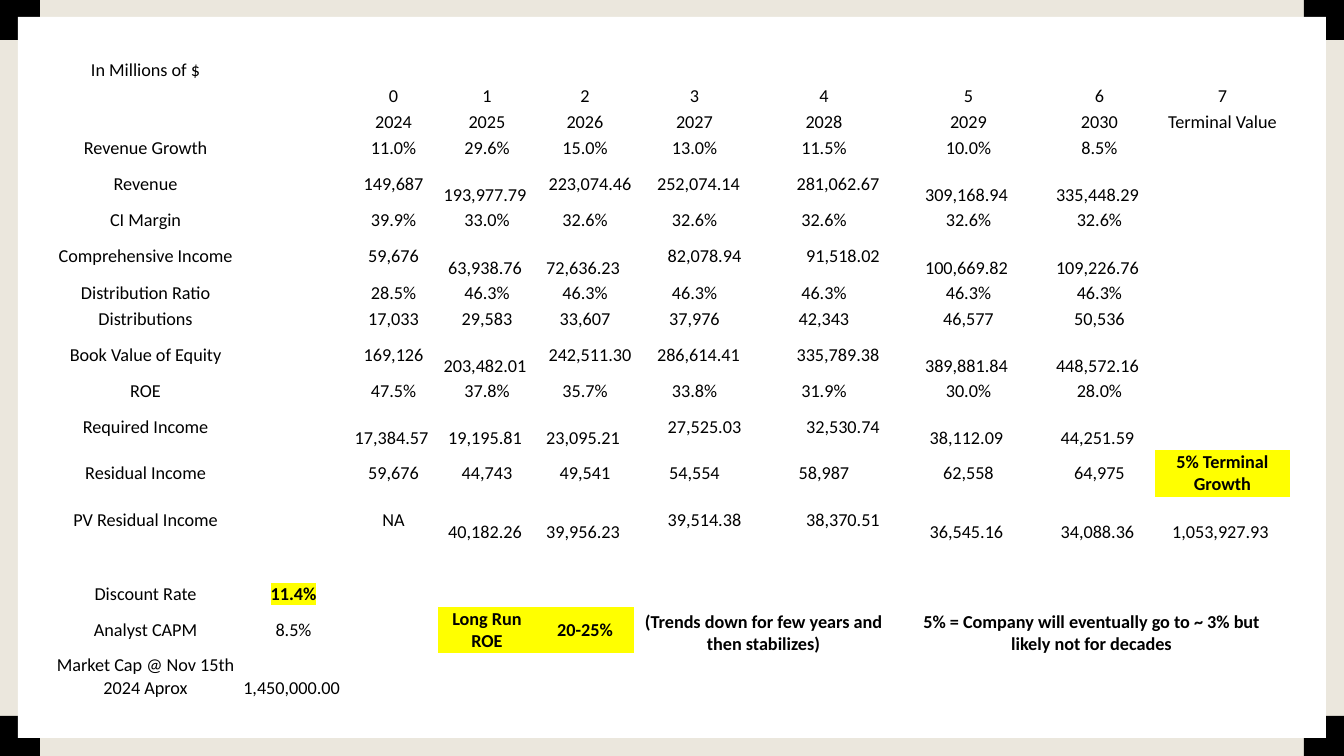
from dataclasses import dataclass

from lxml import etree
from pptx import Presentation
from pptx.dml.color import RGBColor
from pptx.enum.shapes import MSO_SHAPE
from pptx.enum.text import MSO_ANCHOR, PP_ALIGN
from pptx.oxml.ns import qn
from pptx.util import Pt

RECT = MSO_SHAPE.RECTANGLE
TOP, MIDDLE, BOTTOM = MSO_ANCHOR.TOP, MSO_ANCHOR.MIDDLE, MSO_ANCHOR.BOTTOM
CENTER = PP_ALIGN.CENTER
NO_STYLE = "{2D5ABB26-0587-4C30-8999-92F81FD0307C}"
EMU_PER_PX = 914400 / 100.8
SLIDE_W, SLIDE_H = 1344, 756


@dataclass(frozen=True)
class Theme:
    """Colours and type of the slide."""
    paper: str = "EBE7DD"
    corner: str = "000000"
    panel: str = "FFFFFF"
    text: str = "000000"
    mark: str = "FFFF00"
    font: str = "Calibri"
    size: int = 13


THEME = Theme()
COL_WIDTHS = [185, 111, 89, 98, 98, 121, 138, 151, 111, 135]
FORECAST = [
    (26, ["In Millions of $"]),
    (26, ["", "", "0", "1", "2", "3", "4", "5", "6", "7"]),
    (26, ["", "", "2024", "2025", "2026", "2027", "2028", "2029", "2030", "Terminal Value"]),
    (26, ["Revenue Growth", "", "11.0%", "29.6%", "15.0%", "13.0%", "11.5%", "10.0%", "8.5%"]),
    (46, ["Revenue", "", "149,687", "193,977.79", "223,074.46", "252,074.14", "281,062.67",
          "309,168.94", "335,448.29"]),
    (26, ["CI Margin", "", "39.9%", "33.0%"] + ["32.6%"] * 5),
    (47, ["Comprehensive Income", "", "59,676", "63,938.76", "72,636.23", "82,078.94", "91,518.02",
          "100,669.82", "109,226.76"]),
    (26, ["Distribution Ratio", "", "28.5%"] + ["46.3%"] * 6),
    (26, ["Distributions", "", "17,033", "29,583", "33,607", "37,976", "42,343", "46,577", "50,536"]),
    (46, ["Book Value of Equity", "", "169,126", "203,482.01", "242,511.30", "286,614.41",
          "335,789.38", "389,881.84", "448,572.16"]),
    (26, ["ROE", "", "47.5%", "37.8%", "35.7%", "33.8%", "31.9%", "30.0%", "28.0%"]),
    (46, ["Required Income", "", "17,384.57", "19,195.81", "23,095.21", "27,525.03", "32,530.74",
          "38,112.09", "44,251.59"]),
    (47, ["Residual Income", "", "59,676", "44,743", "49,541", "54,554", "58,987", "62,558",
          "64,975", "5% Terminal Growth"]),
    (47, ["PV Residual Income", "", "NA", "40,182.26", "39,956.23", "39,514.38", "38,370.51",
          "36,545.16", "34,088.36", "1,053,927.93"]),
    (37, []),
    (26, ["Discount Rate", "11.4%"]),
    (46, ["Analyst CAPM", "8.5%", "", "Long Run ROE", "20-25%",
          "(Trends down for few years and then stabilizes)", "",
          "5% = Company will eventually go to ~ 3% but likely not for decades"]),
    (47, ["Market Cap @ Nov 15th 2024 Aprox", "1,450,000.00"]),
]
FILLED = {(12, 9), (16, 3), (16, 4)}
HIGHLIGHTED = {(15, 1)}
NOTES = {(16, 5): (17, 6), (16, 7): (17, 9)}
BOLD = FILLED | HIGHLIGHTED | set(NOTES)
SHIFTS = {(4, 10): 5, (5, 10): 4, (5, 9): 10, (6, 10): 14, (6, 9): 19}


def px(n):
    """Turn pixels into EMU."""
    return round(n * EMU_PER_PX)


def rgb(colour):
    """Turn a hex string into a colour."""
    return RGBColor.from_string(colour)


def add_rect(slide, box, colour):
    """Draw a plain filled rectangle."""
    sp = slide.shapes.add_shape(RECT, *map(px, box))
    sp.shadow.inherit = False
    sp.fill.solid()
    sp.fill.fore_color.rgb = rgb(colour)
    sp.line.fill.background()


def write(tf, text, bold=False, highlight=None):
    """Write one centred paragraph in the theme's type."""
    p = tf.paragraphs[0]
    p.alignment = CENTER
    if not text:
        etree.SubElement(p._p, qn("a:endParaRPr"), sz=str(THEME.size * 100))
        return
    r = p.add_run()
    r.text = text
    r.font.size = Pt(THEME.size)
    r.font.bold = bold
    r.font.color.rgb = rgb(THEME.text)
    r.font.name = THEME.font
    if highlight:
        mark = etree.Element(qn("a:highlight"))
        etree.SubElement(mark, qn("a:srgbClr"), val=highlight)
        r._r.rPr.find(qn("a:latin")).addprevious(mark)


def place_text(cell, col, text, is_note):
    """Set a cell's anchor and margins, dropping or shifting decimal figures."""
    left = right = top = bottom = 1
    anchor = MIDDLE
    if is_note:
        left, right, top, bottom = 9, 9, 4, 4
        anchor = TOP
    elif text[-3:-2] == "." and text[-1].isdigit():
        shift = SHIFTS.get((col, len(text)), -2)
        left += max(0, 2 * shift)
        right += max(0, -2 * shift)
        anchor = BOTTOM if shift < 0 else MIDDLE
    cell.vertical_anchor = anchor
    cell.margin_left, cell.margin_right = px(left), px(right)
    cell.margin_top, cell.margin_bottom = px(top), px(bottom)


def add_frame(slide, box):
    """Draw the four corner squares and the white panel."""
    x, y, w, h = box
    side, inset = 40, 18
    for cx in (x, x + w - side):
        for cy in (y, y + h - side):
            add_rect(slide, (cx, cy, side, side), THEME.corner)
    add_rect(slide, (x + inset, y + inset - 1, w - 2 * inset, h - 2 * inset + 1), THEME.panel)


def add_forecast(slide, box):
    """Build the valuation table in its box."""
    frame = slide.shapes.add_table(len(FORECAST), len(COL_WIDTHS), *map(px, box))
    table = frame.table
    table.first_row = table.horz_banding = False
    table._tbl.tblPr.find(qn("a:tableStyleId")).text = NO_STYLE
    for column, width in zip(table.columns, COL_WIDTHS):
        column.width = px(width)
    for i, (height, texts) in enumerate(FORECAST):
        table.rows[i].height = px(height)
        for j in range(len(COL_WIDTHS)):
            cell = table.cell(i, j)
            text = texts[j] if j < len(texts) else ""
            place_text(cell, j, text, (i, j) in NOTES)
            write(cell.text_frame, text, bold=(i, j) in BOLD,
                  highlight=THEME.mark if (i, j) in HIGHLIGHTED else None)
            if (i, j) in FILLED:
                cell.fill.solid()
                cell.fill.fore_color.rgb = rgb(THEME.mark)
            else:
                cell.fill.background()
    for start, end in NOTES.items():
        table.cell(*start).merge(table.cell(*end))


def main():
    """Build and save the slide."""
    prs = Presentation()
    prs.slide_width, prs.slide_height = px(SLIDE_W), px(SLIDE_H)
    slide = prs.slides.add_slide(prs.slide_layouts[6])
    slide.background.fill.solid()
    slide.background.fill.fore_color.rgb = rgb(THEME.paper)
    add_frame(slide, (0, 0, SLIDE_W, SLIDE_H))
    add_forecast(slide, (53, 57, sum(COL_WIDTHS), sum(height for height, _ in FORECAST)))
    prs.save("out.pptx")


if __name__ == "__main__":
    main()
